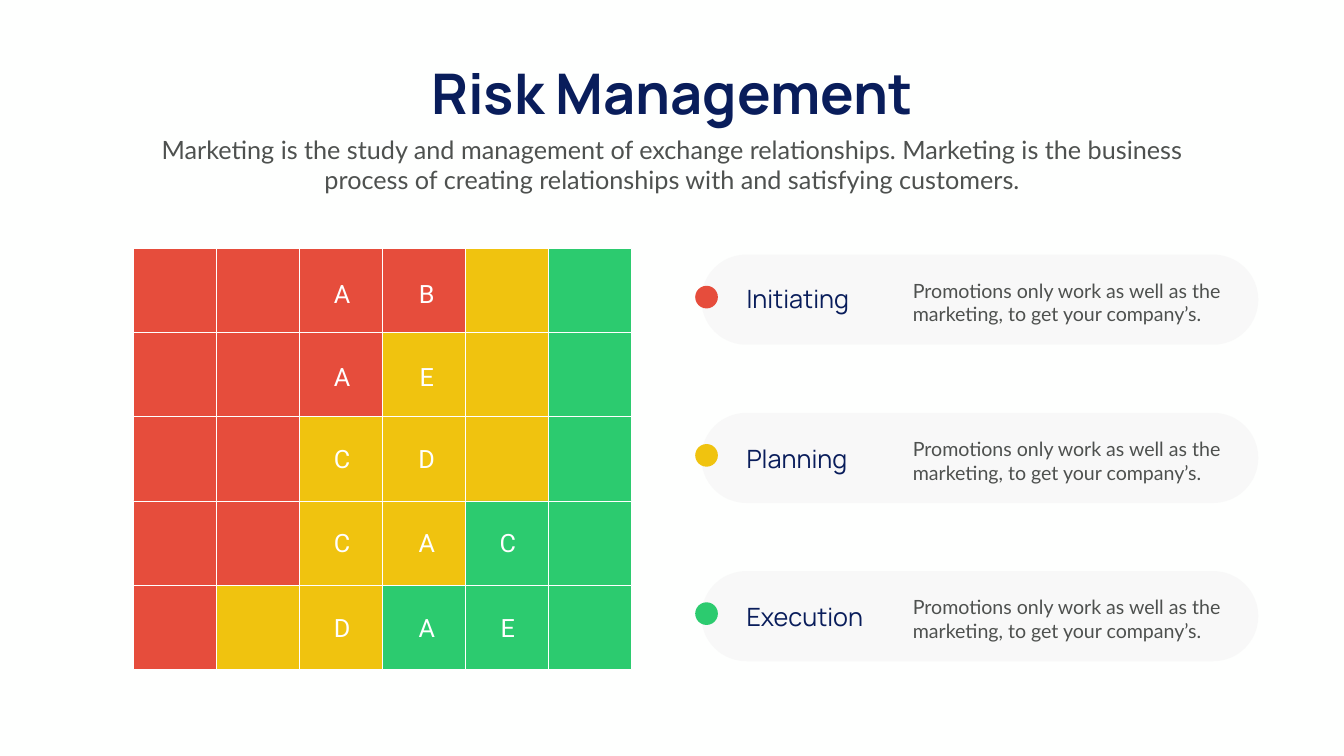
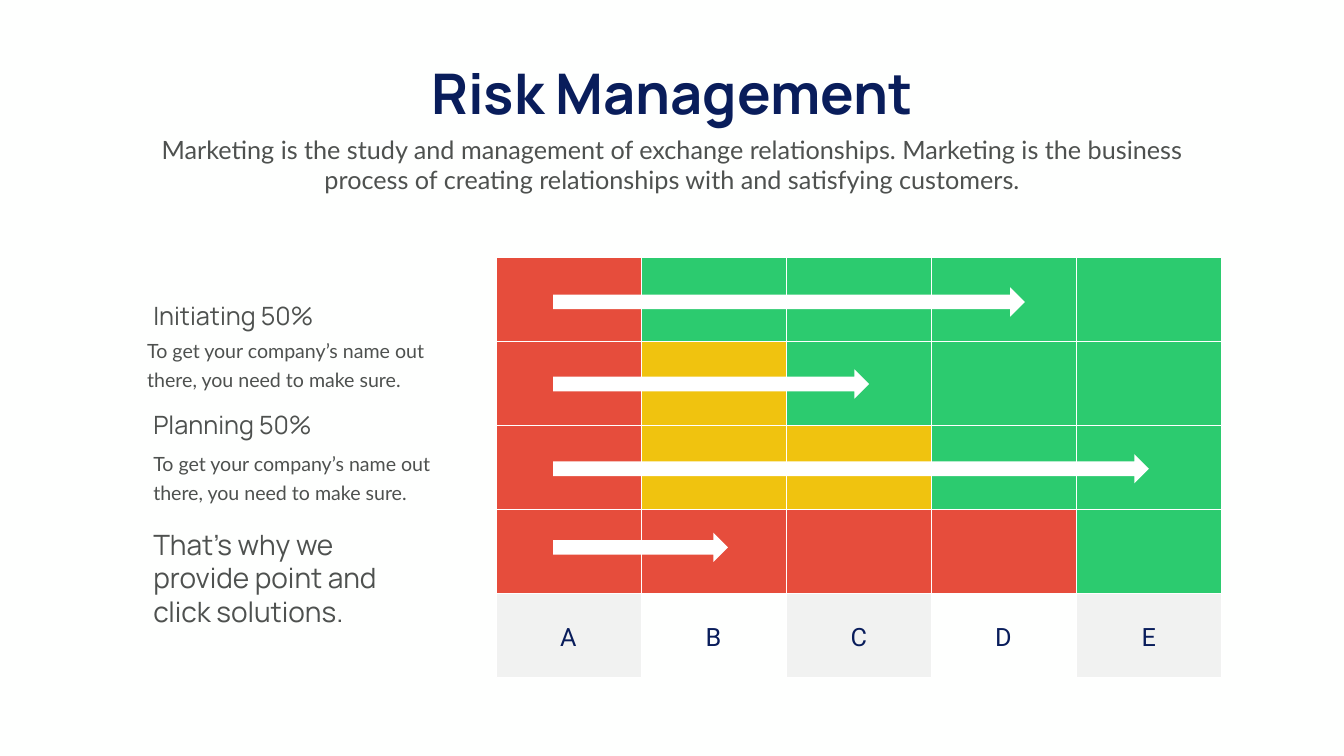
from lxml import etree
from pptx import Presentation
from pptx import util as u
from pptx.dml.color import RGBColor
from pptx.enum import shapes, text
from pptx.oxml.ns import qn

PX = 9144  # 100 px to the inch
HUES = {
    "back": "FEFFFE", "white": "FFFFFF", "navy": "091D5B", "text": "4E514F",
    "red": "E64D3C", "gold": "F0C30F", "green": "2CCB6F",
    "pill": "F2F2F2", "grey": "808080",
}
CODES = {"R": "red", "Y": "gold", "G": "green", "N": "grey"}
KIND = shapes.MSO_SHAPE
LEFT, MID = text.PP_ALIGN.LEFT, text.PP_ALIGN.CENTER
TIGHT = (0, 0, 0, 0)
BODY = (0, 5, 10, 5)


def draw(slide, kind, box, hue, alpha=None, edge=False):
    shape = slide.shapes.add_shape(kind, *[round(n) * PX for n in box])
    shape.shadow.inherit = False
    shape.fill.solid()
    shape.fill.fore_color.rgb = RGBColor.from_string(HUES[hue])
    if alpha:
        tone = shape.fill._xPr.find(qn("a:solidFill"))[0]
        etree.SubElement(tone, qn("a:alpha")).set("val", str(alpha * 1000))
    if edge:
        shape.line.color.rgb = RGBColor.from_string(HUES["white"])
        shape.line.width = u.Pt(1)
    else:
        shape.line.fill.background()
    return shape


def write(slide, words, box, size, face, hue, align=LEFT, bold=False,
          wrap=True, inset=(10, 5, 10, 5), space=None):
    frame = slide.shapes.add_textbox(*[round(n) * PX for n in box]).text_frame
    frame.word_wrap = wrap
    frame.auto_size = text.MSO_AUTO_SIZE.SHAPE_TO_FIT_TEXT
    (frame.margin_left, frame.margin_top,
     frame.margin_right, frame.margin_bottom) = [n * PX for n in inset]
    frame.text = words
    para = frame.paragraphs[0]
    para.alignment = align
    if space:
        para.line_spacing = u.Pt(space)
    font = para.runs[0].font
    font.size, font.name, font.bold = u.Pt(size), face, bold
    font.color.rgb = RGBColor.from_string(HUES[hue])


deck = Presentation()
deck.slide_width, deck.slide_height = 2666 * PX, 1500 * PX

# Shared background, title and intro
for _ in range(2):
    slide = deck.slides.add_slide(deck.slide_layouts[6])
    slide.background.fill.solid()
    slide.background.fill.fore_color.rgb = RGBColor.from_string(HUES["back"])
    write(slide, "Risk Management", (799, 112, 1068, 145), 80, "Manrope",
          "navy", MID, bold=True, wrap=False)
    write(slide, "Marketing is the study and management of exchange "
          "relationships. Marketing is the business process of creating "
          "relationships with and satisfying customers.",
          (292, 261, 2082, 131), 36, "Lato", "text", MID)
first, second = deck.slides

# Slide 1: risk matrix
for row, codes in enumerate(["RRRRYG", "RRRYYG", "RRYYYG", "RRYYGG", "RYYGGG"]):
    for col, code in enumerate(codes):
        draw(first, KIND.RECTANGLE, (264 + 164.8 * col, 493 + 167 * row, 165, 167),
             CODES[code], edge=True)

# Letters in the third, fourth and fifth columns
for top, marks in zip([547, 712, 874, 1042, 1211], ["AB", "AE", "CD", "CAC", "DAE"]):
    for left, mark in zip([627, 795, 956], marks):
        write(first, mark, (left, top, 103, 73), 36, "Roboto", "white", MID)

# Legend
phases = [("Initiating", "red", 52), ("Planning", "gold", 55), ("Execution", "green", 55)]
for row, (name, hue, drop) in enumerate(phases):
    top = 505 + 314 * row
    pill = draw(first, KIND.ROUNDED_RECTANGLE, (1391, top, 1105, 179), "pill", alpha=47)
    pill.adjustments[0] = 0.5
    write(first, "Promotions only work as well as the marketing, to get your company’s.",
          (1801, top + 43, 649, 104), 28, "Lato", "text")
    write(first, name, (1471, top + drop, 346, 71), 36, "Manrope", "navy")
    draw(first, KIND.OVAL, (1379, top + 62, 45, 45), hue)

# Slide 2: matrix with a shaded bottom row
for row, codes in enumerate(["RGGGG", "RYGGG", "RYYGG", "RRRRG", "N-N-N"]):
    for col, code in enumerate(codes):
        if code in CODES:
            draw(second, KIND.RECTANGLE,
                 (984 + 287.8 * col, 511 + 166.75 * row, 288, 167),
                 CODES[code], alpha=10 if code == "N" else None, edge=True)

# Column letters
for col, mark in enumerate("ABCDE"):
    write(second, mark, (1018 + 287.8 * col, 1228, 219, 71), 36, "Roboto", "navy", MID)

# Side notes
for name, top, left, low in [("Initiating 50%", 595, 292, 658),
                             ("Planning 50%", 813, 304, 882)]:
    write(second, name, (304, top, 572, 61), 36, "Manrope", "text", inset=TIGHT)
    write(second, "To get your company’s name out there, you need to make sure.",
          (left, low, 572, 119), 28, "Lato", "text", inset=BODY, space=40.8)
write(second, "That’s why we provide point and click solutions.",
      (304, 1046, 531, 202), 40, "Manrope", "text", inset=TIGHT)

# Arrows across the rows
for top, width in [(570, 936), (733, 627), (901, 1182), (1057, 347)]:
    draw(second, KIND.RIGHT_ARROW, (1097, top, width, 58), "white")

deck.save("out.pptx")
